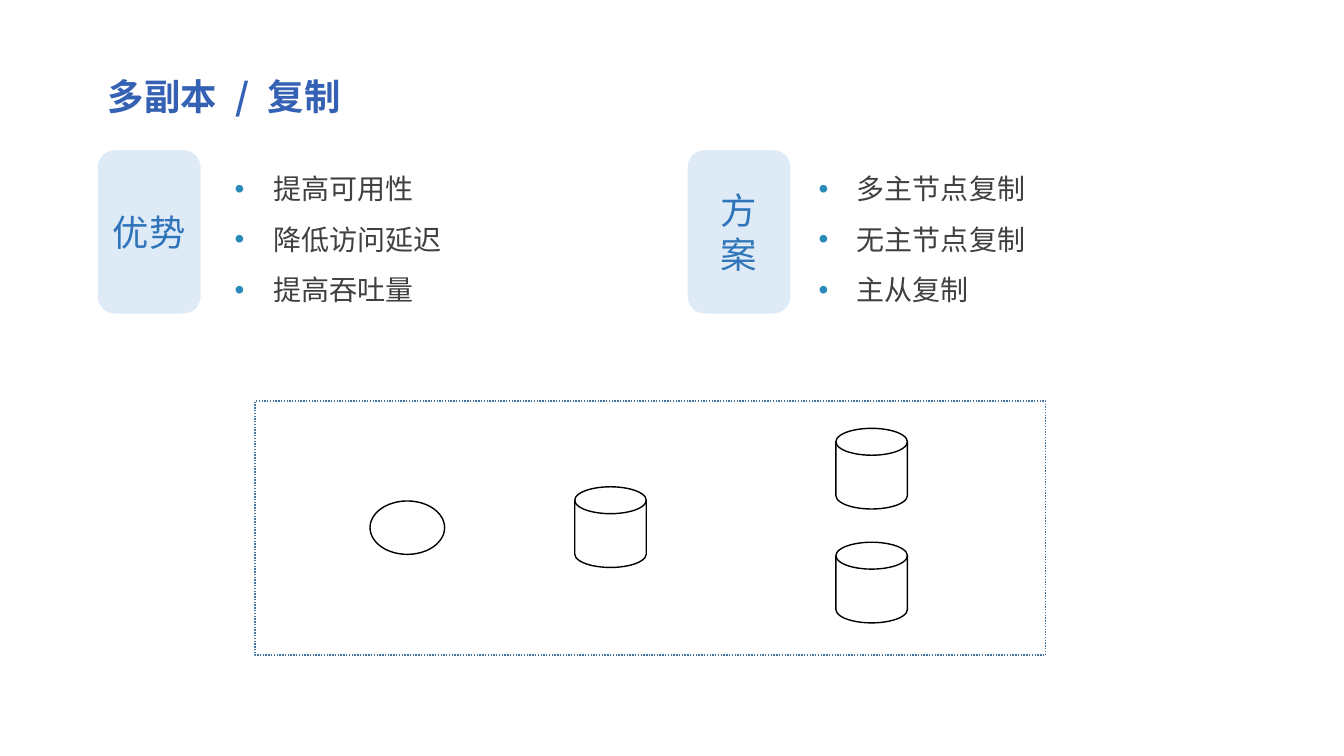
from lxml import etree
from pptx import Presentation
from pptx.dml.color import RGBColor
from pptx.enum.dml import MSO_LINE
from pptx.enum.shapes import MSO_SHAPE
from pptx.enum.text import MSO_ANCHOR, PP_ALIGN
from pptx.oxml.ns import qn
from pptx.util import Emu, Pt

SCALE = 9144  # EMU in one px, so 100 px make an inch
FONT = "Noto Sans CJK SC"
RECT, OVAL = MSO_SHAPE.RECTANGLE, MSO_SHAPE.OVAL
ROUND, DISK = MSO_SHAPE.ROUNDED_RECTANGLE, MSO_SHAPE.FLOWCHART_MAGNETIC_DISK
DOTS = MSO_LINE.ROUND_DOT
TOP, MIDDLE = MSO_ANCHOR.TOP, MSO_ANCHOR.MIDDLE
LEFT, CENTER = PP_ALIGN.LEFT, PP_ALIGN.CENTER


def px(n):
    return Emu(n * SCALE)


def color(code):
    return RGBColor.from_string(code)


def bullet(para, code):
    """Give the paragraph a hanging round bullet."""
    props = para._p.get_or_add_pPr()
    props.set("marL", str(px(38)))
    props.set("indent", str(px(-38)))
    tint = etree.SubElement(props, qn("a:buClr"))
    etree.SubElement(tint, qn("a:srgbClr"), val=code)
    etree.SubElement(props, qn("a:buFont"), typeface="Arial")
    etree.SubElement(props, qn("a:buChar"), char="•")


def write(frame, lines, size, ink, bold=False, align=LEFT, anchor=TOP,
          space=None, dot=None, gap=0):
    """Fill the frame; gap widens each blank, in hundredths of a point."""
    frame.word_wrap = True
    frame.vertical_anchor = anchor
    for i, line in enumerate(lines):
        para = frame.paragraphs[0] if i == 0 else frame.add_paragraph()
        para.alignment = align
        para.line_spacing = space
        if dot:
            bullet(para, dot)
        parts = line.replace(" ", "\n \n").split("\n") if gap else [line]
        for part in parts:
            run = para.add_run()
            run.text = part
            font = run.font
            font.name, font.size, font.bold = FONT, Pt(size), bold
            font.color.rgb = color(ink)
            props = run._r.get_or_add_rPr()
            etree.SubElement(props, qn("a:ea"), typeface=FONT)
            if part == " ":
                props.set("spc", str(gap))


class Board:
    def __init__(self, deck):
        self.slide = deck.slides.add_slide(deck.slide_layouts[5])
        self.shapes = self.slide.shapes

    def title(self, text, x, y, w, h):
        box = self.shapes.title
        box.left, box.top, box.width, box.height = map(px, (x, y, w, h))
        write(box.text_frame, [text], 26, "3561B4", bold=True,
              anchor=MIDDLE, gap=700)

    def shape(self, kind, x, y, w, h, fill=None, line=None, dash=None):
        item = self.shapes.add_shape(kind, *map(px, (x, y, w, h)))
        item.shadow.inherit = False
        if fill:
            item.fill.solid()
            item.fill.fore_color.rgb = color(fill)
        else:
            item.fill.background()
        if line:
            item.line.color.rgb = color(line)
            item.line.width = Pt(1)
            item.line.dash_style = dash
        else:
            item.line.fill.background()
        return item

    def badge(self, lines, x, y):
        item = self.shape(ROUND, x, y, 102, 162, fill="DEEBF7")
        write(item.text_frame, lines, 26, "3075BA", align=CENTER,
              anchor=MIDDLE)

    def points(self, lines, x, y):
        box = self.shapes.add_textbox(*map(px, (x, y, 344, 162)))
        write(box.text_frame, lines, 20, "404040", space=1.5, dot="2A8ABA")


def main():
    deck = Presentation()
    deck.slide_width, deck.slide_height = px(1333), px(750)
    board = Board(deck)
    board.title("多副本 / 复制", 97, 68, 1157, 54)

    board.shape(RECT, 253, 398, 784, 252, line="43739E", dash=DOTS)
    board.shape(OVAL, 367, 497, 74, 53, line="000000")
    for x, y in ((570, 483), (829, 425), (829, 538)):
        board.shape(DISK, x, y, 71, 80, line="000000")

    top = 149
    board.points(["提高可用性", "降低访问延迟", "提高吞吐量"], 223, top)
    board.badge(["方", "案"], 682, top)
    board.points(["多主节点复制", "无主节点复制", "主从复制"], 802, top)
    board.badge(["优势"], 97, top)

    deck.save("out.pptx")


if __name__ == "__main__":
    main()
